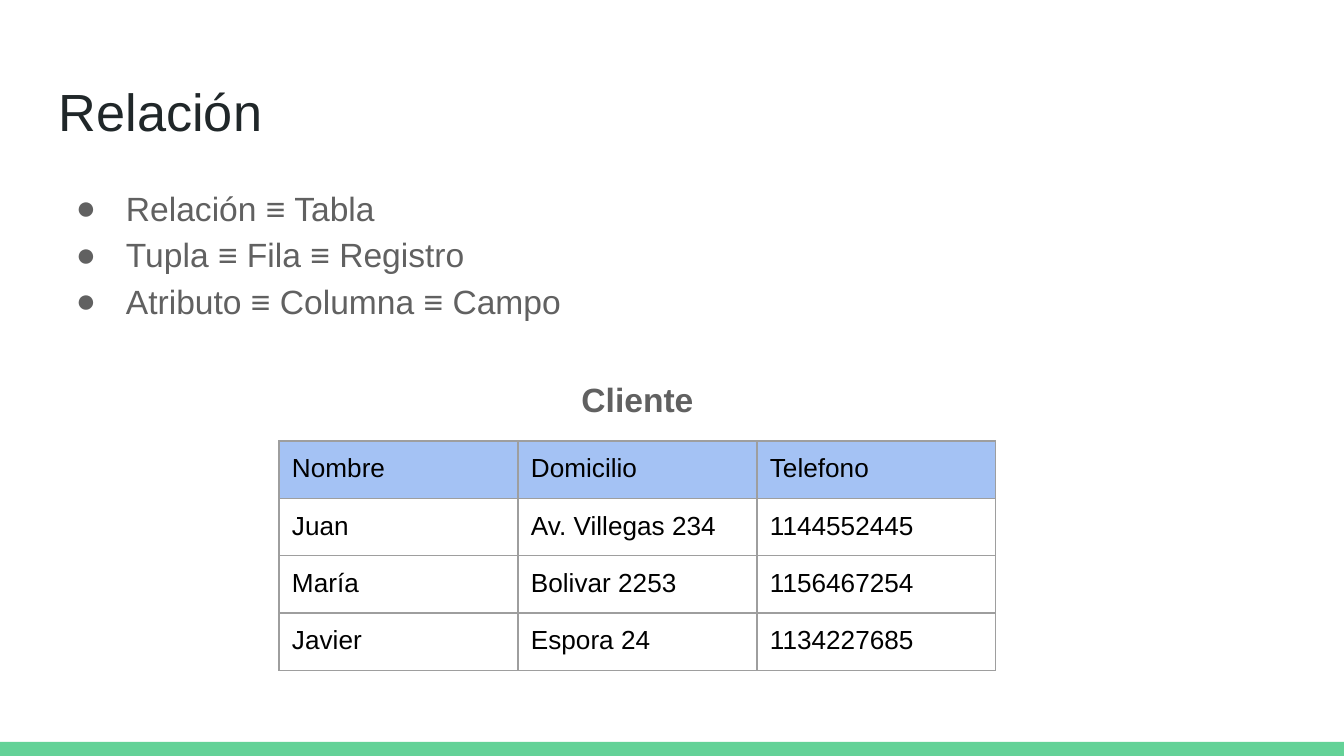
import dataclasses
import typing

import lxml.etree
import pptx
import pptx.dml.color
import pptx.enum.shapes
import pptx.enum.text
import pptx.oxml.ns
import pptx.util

SCALE = 914400 / 134.4  # EMU in one px
INSET = 13
HUES = {
    "bar": "63D297",
    "title": "202729",
    "body": "616161",
    "head": "A4C2F4",
    "cell": "000000",
    "rule": "9E9E9E",
}
ROWS = [
    ("Nombre", "Domicilio", "Telefono"),
    ("Juan", "Av. Villegas 234", "1144552445"),
    ("María", "Bolivar 2253", "1156467254"),
    ("Javier", "Espora 24", "1134227685"),
]


@dataclasses.dataclass
class Block:
    left: int
    top: int
    width: int
    height: int
    lines: list[str]
    size: int
    hue: str
    bold: bool = False
    bullet: bool = False
    format: dict[str, typing.Any] = dataclasses.field(default_factory=dict)


BLOCKS = [
    Block(46, 66, 1253, 84, ["Relación"], 28, "title"),
    Block(46, 169, 1253, 74,
          ["Relación ≡ Tabla", "Tupla ≡ Fila ≡ Registro", "Atributo ≡ Columna ≡ Campo"],
          18, "body", bullet=True, format={"line_spacing": 1.15}),
    Block(314, 360, 647, 75, ["Cliente"], 18, "body", bold=True,
          format={"line_spacing": 1.15, "space_after": pptx.util.Pt(16),
                  "alignment": pptx.enum.text.PP_ALIGN.CENTER}),
]


def px(count: int) -> pptx.util.Emu:
    return pptx.util.Emu(round(count * SCALE))


def color(name: str) -> pptx.dml.color.RGBColor:
    return pptx.dml.color.RGBColor.from_string(HUES[name])


def apply(target: typing.Any, values: dict[str, typing.Any]) -> None:
    for name, value in values.items():
        setattr(target, name, value)


def pad(target: typing.Any) -> None:
    apply(target, {f"margin_{side}": px(INSET) for side in ("left", "top", "right", "bottom")})


def add(parent: typing.Any, tag: str, **attrs: str) -> typing.Any:
    return lxml.etree.SubElement(parent, pptx.oxml.ns.qn(tag), attrs)


def write(para: typing.Any, text: str, size: int, hue: str, bold: bool = False) -> None:
    run = para.add_run()
    run.text = text
    apply(run.font, {"name": "Arial", "size": pptx.util.Pt(size), "bold": bold})
    run.font.color.rgb = color(hue)


def mark(para: typing.Any, hue: str) -> None:
    props = para._p.get_or_add_pPr()
    props.set("marL", str(px(67)))
    props.set("indent", str(-px(50)))
    add(add(props, "a:buClr"), "a:srgbClr", val=HUES[hue])
    add(props, "a:buFont", typeface="Arial")
    add(props, "a:buChar", char="●")


def draw_block(slide: typing.Any, block: Block) -> None:
    box = slide.shapes.add_textbox(
        px(block.left), px(block.top), px(block.width), px(block.height))
    frame = box.text_frame
    frame.word_wrap = True
    pad(frame)
    for index, line in enumerate(block.lines):
        para = frame.add_paragraph() if index else frame.paragraphs[0]
        apply(para, block.format)
        if block.bullet:
            mark(para, block.hue)
        write(para, line, block.size, block.hue, block.bold)


def edge(cell: typing.Any) -> None:
    props = cell._tc.get_or_add_tcPr()
    for side in "LRTB":
        line = add(props, f"a:ln{side}", w=str(pptx.util.Pt(0.75)))
        add(add(line, "a:solidFill"), "a:srgbClr", val=HUES["rule"])


def draw_table(slide: typing.Any, left: int, top: int, wide: int, high: int) -> None:
    count = len(ROWS[0])
    table = slide.shapes.add_table(
        len(ROWS), count, px(left), px(top), px(wide * count), px(high * len(ROWS))).table
    apply(table, {"first_row": False, "horz_banding": False})
    for row, texts in enumerate(ROWS):
        for col, text in enumerate(texts):
            cell = table.cell(row, col)
            pad(cell)
            edge(cell)
            if row:
                cell.fill.background()
            else:
                cell.fill.solid()
                cell.fill.fore_color.rgb = color("head")
            write(cell.text_frame.paragraphs[0], text, 14, "cell")


def draw_bar(slide: typing.Any) -> None:
    bar = slide.shapes.add_shape(
        pptx.enum.shapes.MSO_SHAPE.RECTANGLE, px(0), px(742), px(1344), px(14))
    bar.shadow.inherit = False
    bar.fill.solid()
    bar.fill.fore_color.rgb = color("bar")
    bar.line.fill.background()


def main() -> None:
    deck = pptx.Presentation()
    apply(deck, {"slide_width": px(1344), "slide_height": px(756)})
    slide = deck.slides.add_slide(deck.slide_layouts[6])

    # Footer bar
    draw_bar(slide)

    # Title, bullets and table caption
    for block in BLOCKS:
        draw_block(slide, block)

    # Client table
    draw_table(slide, 279, 441, 239, 56)

    deck.save("out.pptx")


if __name__ == "__main__":
    main()
